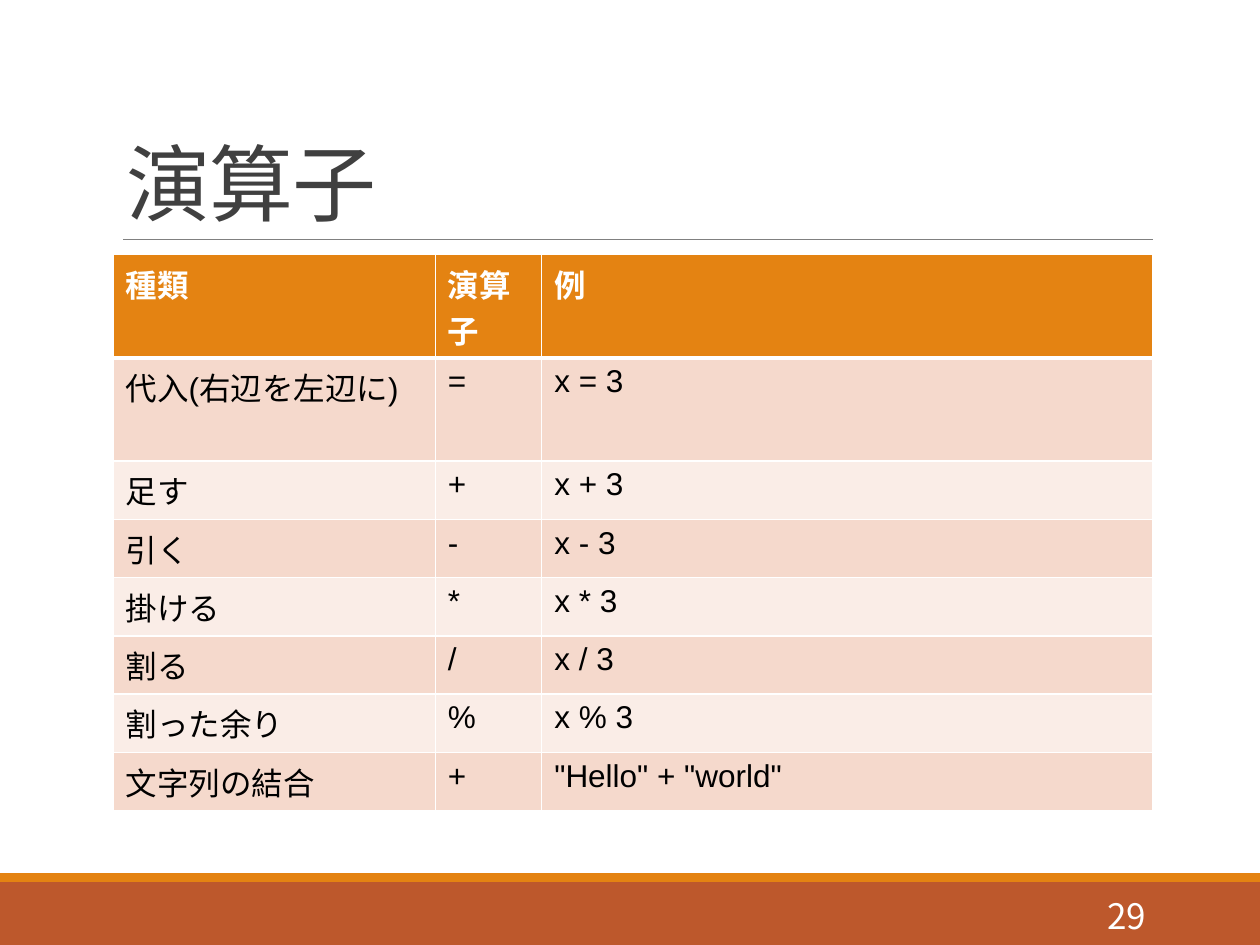
from dataclasses import dataclass

from lxml import etree
from pptx import Presentation
from pptx.dml.color import RGBColor
from pptx.enum import shapes, text
from pptx.oxml.ns import qn
from pptx.util import Pt


@dataclass(frozen=True)
class Theme:
    rust: str = "BD582C"
    orange: str = "E48312"
    rule: str = "808080"
    title: str = "404040"
    ink: str = "000000"
    white: str = "FFFFFF"
    bands: tuple = ("F5D9CC", "FAEDE7")
    latin: str = "Arial"
    cjk: str = "Noto Sans CJK JP"
    title_size: int = 48
    table_size: int = 18
    number_size: int = 20


T = Theme()

HEADER = ("種類", "演算子", "例")
OPERATORS = [
    ("代入(右辺を左辺に)", "=", "x = 3"),
    ("足す", "+", "x + 3"),
    ("引く", "-", "x - 3"),
    ("掛ける", "*", "x * 3"),
    ("割る", "/", "x / 3"),
    ("割った余り", "%", "x % 3"),
    ("文字列の結合", "+", '"Hello" + "world"'),
]


def rgb(value):
    return RGBColor.from_string(value)


def format_run(r, size, color, latin, bold=False):
    r.font.size, r.font.bold, r.font.name = Pt(size), bold, latin
    r.font.color.rgb = rgb(color)
    ea = etree.SubElement(r._r.get_or_add_rPr(), qn("a:ea"))
    ea.set("typeface", T.cjk)


def set_borders(cell, bottom):
    """Put white lines round a cell, with its own bottom width."""
    tc_pr = cell._tc.get_or_add_tcPr()
    widths = (("L", 1), ("R", 1), ("T", 1), ("B", bottom))
    for i, (side, width) in enumerate(widths):
        ln = etree.Element(qn(f"a:ln{side}"), w=str(Pt(width)))
        fill = etree.SubElement(ln, qn("a:solidFill"))
        etree.SubElement(fill, qn("a:srgbClr"), val=T.white)
        tc_pr.insert(i, ln)


def add_band(s, left, top, width, height, color):
    sp = s.shapes.add_shape(shapes.MSO_SHAPE.RECTANGLE,
                            Pt(left), Pt(top), Pt(width), Pt(height))
    sp.shadow.inherit = False
    sp.fill.solid()
    sp.fill.fore_color.rgb = rgb(color)
    sp.line.fill.background()


def add_footer(s, left, top, width, height, number):
    # Thin stripe above the main band
    stripe = 5
    add_band(s, left, top + stripe, width, height - stripe, T.rust)
    add_band(s, left, top, width, stripe, T.orange)

    # Slide number
    sp = s.shapes.add_textbox(Pt(left + width - 135.7), Pt(top + 9.6),
                              Pt(77.8), Pt(28.8))
    tf = sp.text_frame
    tf.word_wrap = True
    tf.vertical_anchor = text.MSO_ANCHOR.MIDDLE
    tf.text = number
    p = tf.paragraphs[0]
    p.alignment = text.PP_ALIGN.RIGHT
    format_run(p.runs[0], T.number_size, T.white, T.cjk)


def add_title(s, left, top, width, height, words):
    sp = s.shapes.title
    sp.left, sp.top, sp.width, sp.height = map(Pt, (left, top, width, height))
    tf = sp.text_frame
    tf.text = words
    tf.auto_size = text.MSO_AUTO_SIZE.NONE
    tf.vertical_anchor = text.MSO_ANCHOR.BOTTOM
    p = tf.paragraphs[0]
    p.alignment, p.line_spacing = text.PP_ALIGN.LEFT, 0.85
    format_run(p.runs[0], T.title_size, T.title, T.cjk)
    p.runs[0]._r.get_or_add_rPr().set("spc", "-50")

    # Rule below the title
    bottom = Pt(top + height)
    rule = s.shapes.add_connector(shapes.MSO_CONNECTOR.STRAIGHT,
                                  Pt(left + 5.5), bottom,
                                  Pt(left + width), bottom)
    rule.line.color.rgb = rgb(T.rule)
    rule.line.width = Pt(0.5)
    etree.SubElement(rule._element.spPr, qn("a:effectLst"))


def add_operator_table(s, left, top, width, height):
    rows = [HEADER] + OPERATORS
    table = s.shapes.add_table(len(rows), len(HEADER), Pt(left), Pt(top),
                               Pt(width), Pt(height)).table
    kind, operator = 184.2, 60.8
    for column, w in zip(table.columns, (kind, operator, width - kind - operator)):
        column.width = Pt(w)

    # The first two rows hold two lines of text, the others one
    single = 33.3
    double = (height - single * (len(rows) - 2)) / 2

    for i, row in enumerate(rows):
        head = i == 0
        table.rows[i].height = Pt(double if i < 2 else single)
        for j, words in enumerate(row):
            cell = table.cell(i, j)
            cell.text = words
            cell.fill.solid()
            cell.fill.fore_color.rgb = rgb(T.orange if head else T.bands[(i - 1) % 2])
            set_borders(cell, 3 if head else 1)
            format_run(cell.text_frame.paragraphs[0].runs[0], T.table_size,
                       T.white if head else T.ink, T.latin, head)


def main():
    prs = Presentation()
    prs.slide_width, prs.slide_height = Pt(720), Pt(540)
    s = prs.slides.add_slide(prs.slide_layouts[5])
    add_footer(s, 0, 499, 720, 41, "29")
    add_title(s, 64.8, 22.3, 594, 114.5, "演算子")
    add_operator_table(s, 64.6, 145.5, 594, 317.8)
    prs.save("out.pptx")


if __name__ == "__main__":
    main()
